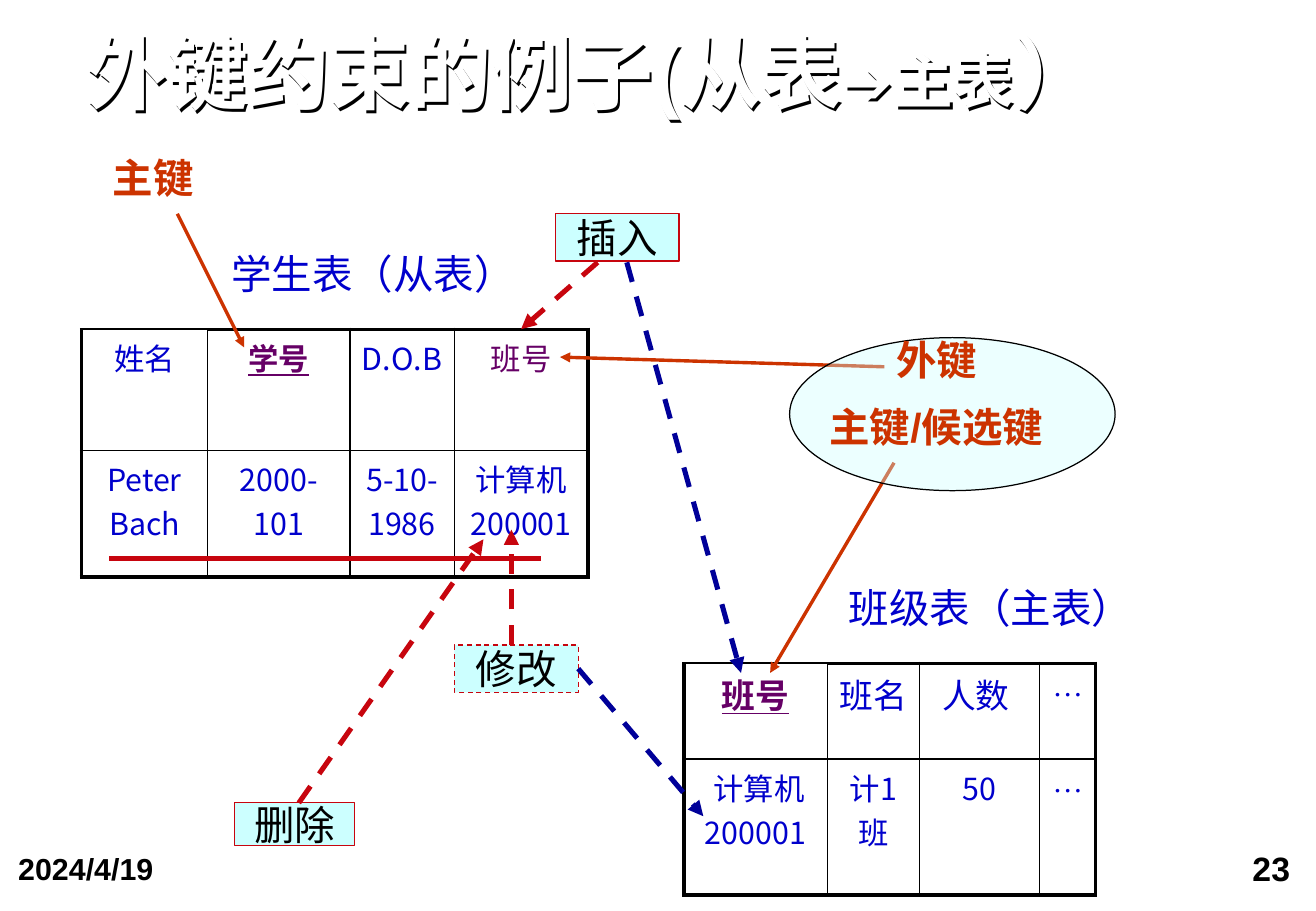
from lxml import etree
from pptx import Presentation
from pptx.dml.color import RGBColor
from pptx.enum.dml import MSO_LINE
from pptx.enum.shapes import MSO_CONNECTOR, MSO_SHAPE
from pptx.enum.text import MSO_ANCHOR, MSO_AUTO_SIZE, PP_ALIGN
from pptx.oxml.ns import qn
from pptx.util import Emu, Inches, Pt

LEFT, CENTER, RIGHT = PP_ALIGN.LEFT, PP_ALIGN.CENTER, PP_ALIGN.RIGHT
TOP, MIDDLE, BOTTOM = MSO_ANCHOR.TOP, MSO_ANCHOR.MIDDLE, MSO_ANCHOR.BOTTOM
GROW = MSO_AUTO_SIZE.SHAPE_TO_FIT_TEXT
STRAIGHT, DASH = MSO_CONNECTOR.STRAIGHT, MSO_LINE.DASH
RECTANGLE, OVAL = MSO_SHAPE.RECTANGLE, MSO_SHAPE.OVAL
SIDE_RIGHT = 3

WHITE = RGBColor(0xFF, 0xFF, 0xFF)
BLACK = RGBColor(0x00, 0x00, 0x00)
BLUE = RGBColor(0x00, 0x00, 0xCC)
NAVY = RGBColor(0x00, 0x00, 0x99)
PURPLE = RGBColor(0x66, 0x00, 0x66)
ORANGE = RGBColor(0xCC, 0x33, 0x00)
RED = RGBColor(0xC7, 0x05, 0x0E)
AQUA = RGBColor(0xCC, 0xFF, 0xFF)

CJK, ARIAL, TIMES = "Noto Sans CJK SC", "Arial", "Times New Roman"
GRID_COLUMNS, GRID_ROWS = 130, 90
UNIT = Inches(1) / 12
THIN, THICK = 1, 2.25

TITLE_AT = (8.52, 3.36, 115.8, 8.64)
TITLE = [("外键约束的例子(从表", 48), ("➔主表", 36), ("）", 48)]

FOOTERS = [
    ("23", (96.12, 83.04, 32.88, 6.96), 20, RIGHT),
    ("2024/4/19", (0.24, 83.28, 30.12, 6.72), 18, LEFT),
]
LABELS = [
    ("主键", (9.96, 14.52, 14.16, 6.84), ORANGE, True, LEFT),
    ("学生表（从表）", (21.24, 24, 31.2, 6), BLUE, False, CENTER),
    ("班级表（主表）", (82.68, 57, 32.16, 6), BLUE, False, LEFT),
    ("外键", (87.36, 32.52, 12, 6.84), ORANGE, True, LEFT),
    ("主键/候选键", (80.76, 39.12, 30.24, 6.84), ORANGE, True, LEFT),
]
KEY_OVAL_AT = (78, 33.36, 32.16, 15.12)

TABLES = [
    {
        "at": (8.04, 32.52),
        "columns": [12.48, 14.04, 10.32, 13.2],
        "rows": [12, 12.48],
        "header_size": 18,
        "cells": [["姓名", "学号", "D.O.B", "班号"],
                  ["Peter Bach", "2000-101", "5-10-1986", "计算机200001"]],
        "primary_key": "学号",
        "foreign_key": "班号",
    },
    {
        "at": (67.56, 65.52),
        "columns": [14.16, 9.12, 11.88, 5.52],
        "rows": [9.48, 13.44],
        "header_size": 20,
        "cells": [["班号", "班名", "人数 ", "…"],
                  [" 计算机200001", "计1班", "50", "…"]],
        "primary_key": "班号",
        "foreign_key": None,
    },
]

ACTIONS = [
    ("插入", (54.84, 21.12, 12.24, 4.68), None),
    ("删除", (23.16, 79.32, 11.88, 4.2), None),
    ("修改", (44.88, 63.72, 12.24, 4.68), DASH),
]
KEY_ARROWS = [
    ((88.32, 45.72), (76.08, 66.48)),
    ((87.36, 36.24), (55.32, 35.28)),
    ((17.52, 21.12), (24.12, 34.32)),
]
ACTION_ARROWS = [
    ((59.04, 25.92), (51.48, 32.52), RED),
    ((29.52, 79.32), (47.76, 53.28), RED),
    ((50.52, 63.72), (50.52, 52.32), RED),
    ((61.92, 25.92), (73.2, 66.48), NAVY),
]
MODIFY_ARROW = ((57.12, 66.06), (69.48, 80.64))
STRIKE = ((10.8, 55.2), (53.4, 55.2))


def grid(values):
    return [Emu(round(value * UNIT)) for value in values]


def add_span(para, text, size, color, font=ARIAL, bold=False, underline=False):
    span = para.add_run()
    span.text = text
    span.font.size, span.font.name = Pt(size), font
    span.font.bold, span.font.underline = bold, underline
    span.font.color.rgb = color
    etree.SubElement(span._r.get_or_add_rPr(), qn("a:ea"), typeface=CJK)


def add_box(page, at, align=LEFT, anchor=TOP, margins=(0.1, 0.05), grow=True):
    box = page.shapes.add_textbox(*grid(at))
    frame = box.text_frame
    frame.word_wrap = True
    frame.vertical_anchor = anchor
    frame.margin_left = frame.margin_right = Inches(margins[0])
    frame.margin_top = frame.margin_bottom = Inches(margins[1])
    if grow:
        frame.auto_size = GROW
    frame.paragraphs[0].alignment = align
    return box


def add_title(page):
    box = add_box(page, TITLE_AT, anchor=BOTTOM, margins=(0, 0))
    effects = etree.SubElement(box._element.spPr, qn("a:effectLst"))
    shadow = etree.SubElement(effects, qn("a:outerShdw"), dist=str(Pt(2)), dir="2700000")
    etree.SubElement(shadow, qn("a:srgbClr"), val=str(BLACK))
    para = box.text_frame.paragraphs[0]
    para.line_spacing = 0.9
    for text, size in TITLE:
        add_span(para, text, size, WHITE, bold=True)


def set_border(cell, side, width):
    line = etree.SubElement(cell._tc.get_or_add_tcPr(), qn("a:" + side), w=str(Pt(width)))
    fill = etree.SubElement(line, qn("a:solidFill"))
    etree.SubElement(fill, qn("a:srgbClr"), val=str(BLACK))


def add_grid_table(page, data):
    columns, rows = data["columns"], data["rows"]
    at = grid([*data["at"], sum(columns), sum(rows)])
    table = page.shapes.add_table(len(rows), len(columns), *at).table
    table.first_row = table.horz_banding = False
    for column, width in zip(table.columns, grid(columns)):
        column.width = width
    for row, height in zip(table.rows, grid(rows)):
        row.height = height
    last_row, last_column = len(rows) - 1, len(columns) - 1
    for r, texts in enumerate(data["cells"]):
        for c, text in enumerate(texts):
            cell = table.cell(r, c)
            cell.margin_left = cell.margin_right = Inches(0.09)
            heavy = {"lnL": c == 0, "lnR": c == last_column,
                     "lnT": r == 0 and c > 0, "lnB": r == last_row}
            for side, is_heavy in heavy.items():
                set_border(cell, side, THICK if is_heavy else THIN)
            cell.fill.background()
            para = cell.text_frame.paragraphs[0]
            para.alignment = CENTER
            primary = text == data["primary_key"]
            color = PURPLE if primary or text == data["foreign_key"] else BLUE
            dots = text == "…"
            size = data["header_size"] if r == 0 and not dots else 18
            add_span(para, text, size, color, TIMES if dots else CJK, primary, primary)


def add_shape(page, kind, at, line_color, dash=None):
    shape = page.shapes.add_shape(kind, *grid(at))
    shape.shadow.inherit = False
    shape.fill.solid()
    shape.fill.fore_color.rgb = AQUA
    shape.line.color.rgb = line_color
    shape.line.width = Pt(0.75)
    shape.line.dash_style = dash
    return shape


def add_action(page, text, at, dash):
    shape = add_shape(page, RECTANGLE, at, RED, dash)
    frame = shape.text_frame
    frame.word_wrap = False
    frame.vertical_anchor = MIDDLE
    frame.paragraphs[0].alignment = CENTER
    add_span(frame.paragraphs[0], text, 24, BLACK)
    return shape


def add_line(page, start, end, color, width, dash=None, arrow=True):
    line = page.shapes.add_connector(STRAIGHT, *grid([*start, *end]))
    line.line.color.rgb = color
    line.line.width = Pt(width)
    line.line.dash_style = dash
    if arrow:
        etree.SubElement(line.line._get_or_add_ln(), qn("a:tailEnd"), type="triangle")
    etree.SubElement(line._element.spPr, qn("a:effectLst"))
    return line


def main():
    deck = Presentation()
    deck.slide_width, deck.slide_height = grid([GRID_COLUMNS, GRID_ROWS])
    page = deck.slides.add_slide(deck.slide_layouts[6])
    add_title(page)
    for text, at, size, align in FOOTERS:
        box = add_box(page, at, align, margins=(0.13, 0.06), grow=False)
        add_span(box.text_frame.paragraphs[0], text, size, BLACK, bold=True)
    for data in TABLES:
        add_grid_table(page, data)
    for start, end in KEY_ARROWS:
        add_line(page, start, end, ORANGE, 2)
    oval = add_shape(page, OVAL, KEY_OVAL_AT, BLACK)
    tint = oval._element.spPr.find(qn("a:solidFill")).find(qn("a:srgbClr"))
    etree.SubElement(tint, qn("a:alpha"), val="37000")
    for text, at, color, bold, align in LABELS:
        box = add_box(page, at, align)
        add_span(box.text_frame.paragraphs[0], text, 24, color, bold=bold)
    boxes = {text: add_action(page, text, at, dash) for text, at, dash in ACTIONS}
    for start, end, color in ACTION_ARROWS:
        add_line(page, start, end, color, 3, DASH)
    modify = add_line(page, *MODIFY_ARROW, NAVY, 3, DASH)
    modify.begin_connect(boxes["修改"], SIDE_RIGHT)
    add_line(page, *STRIKE, RED, 3, arrow=False)
    deck.save("out.pptx")


if __name__ == "__main__":
    main()
